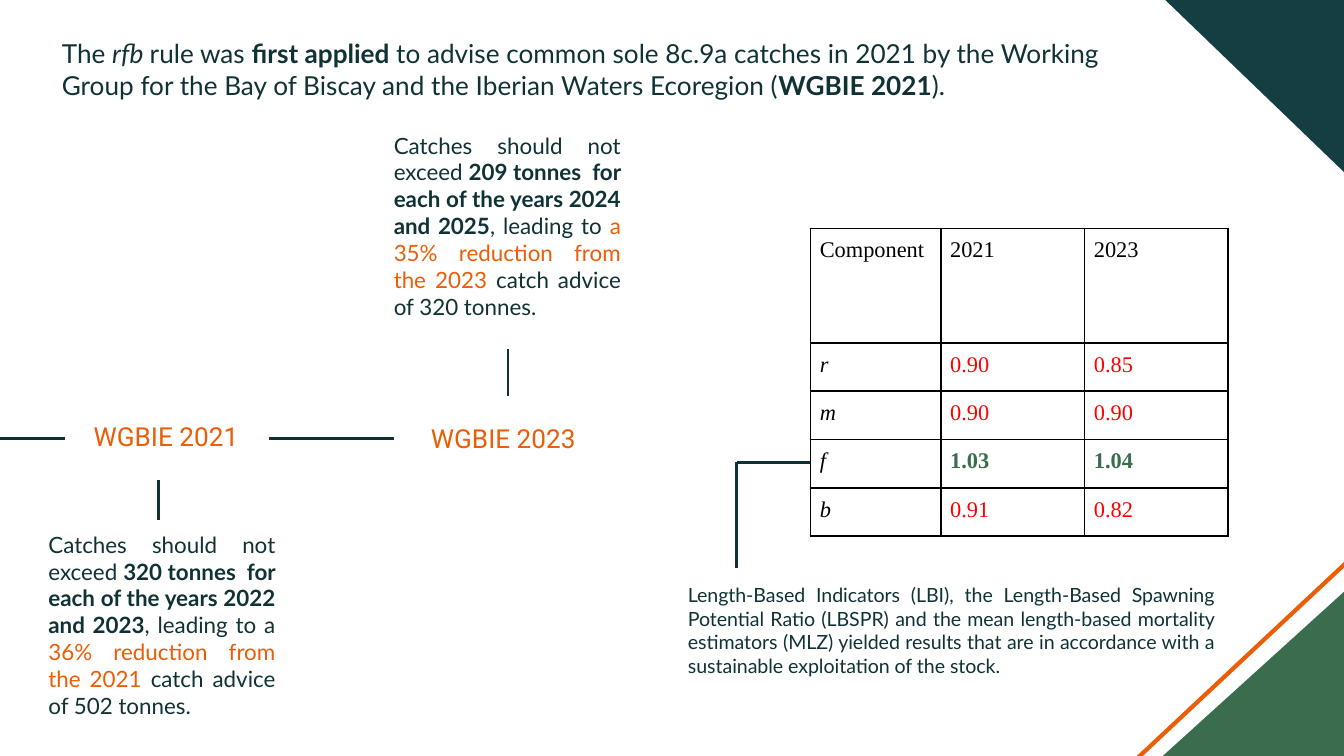
from lxml.etree import SubElement
from pptx import Presentation
from pptx.dml.color import RGBColor
from pptx.enum.shapes import MSO_CONNECTOR as Connector, MSO_SHAPE as Shape
from pptx.enum.text import MSO_ANCHOR as Anchor, MSO_AUTO_SIZE as AutoSize, PP_ALIGN as Align
from pptx.oxml.ns import qn
from pptx.util import Inches, Pt

COLORS = {
    "ink": "103235", "orange": "EB5D06", "teal": "143E42", "green": "396D4D",
    "red": "FF0000", "black": "000000",
}

HEADLINE = [
    ("The ", {}), ("rfb ", {"italic": True}), ("rule was ", {}),
    ("first applied ", {"bold": True}),
    ("to advise common sole 8c.9a catches in 2021 by the Working Group for the "
     "Bay of Biscay and the Iberian Waters Ecoregion (", {}),
    ("WGBIE 2021", {"bold": True}), (").", {}),
]
MILESTONES = [
    ("WGBIE 2021", (0.39, 3.03)),
    ("WGBIE 2023", (2.9, 3.04)),
]
ADVICE = [
    ((0.36, 3.95, 1.69, 1.8), "320 tonnes  for each of the years 2022 and 2023",
     ", leading to a ", "36% reduction from the 2021 ", "catch advice of 502 tonnes."),
    ((2.93, 0.98, 1.69, 1.3), "209 tonnes  for each of the years 2024 and 2025",
     ", leading to ", "a 35% reduction from the 2023 ", "catch advice of 320 tonnes."),
]
COMPONENTS = [
    ("Component", "2021", "2023"),
    ("r", "0.90", "0.85"),
    ("m", "0.90", "0.90"),
    ("f", "1.03", "1.04"),
    ("b", "0.91", "0.82"),
]
COLUMN_WIDTHS = [0.97, 1.07, 1.07]
ROW_HEIGHTS = [0.85] + [0.36] * 4
INDICATORS = (
    "Length-Based Indicators (LBI), the Length-Based Spawning Potential Ratio (LBSPR) "
    "and the mean length-based mortality estimators (MLZ) yielded results that are in "
    "accordance with a sustainable exploitation of the stock."
)
TIMELINE = [
    (1.18, 3.87, 1.18, 3.57),
    (3.78, 2.95, 3.78, 2.6),
    (2.93, 3.26, 2, 3.26),
    (0.48, 3.26, 0, 3.26),
]
TABLE_CALLOUT = [(6.03, 3.44, 5.48, 3.44), (5.48, 4.23, 5.48, 3.44)]


def rgb(name):
    return RGBColor.from_string(COLORS[name])


def style(run, size, font="Lato", color="ink", bold=False, italic=False):
    run.font.size, run.font.name = Pt(size), font
    run.font.color.rgb = rgb(color)
    run.font.bold, run.font.italic = bold, italic


def write(frame, pieces, size, font="Lato", align=Align.LEFT):
    frame.word_wrap = True
    frame.auto_size = AutoSize.NONE
    frame.vertical_anchor = Anchor.TOP
    paragraph = frame.paragraphs[0]
    paragraph.alignment = align
    for text, look in pieces:
        run = paragraph.add_run()
        run.text = text
        style(run, size, font, **look)


def set_margins(holder, inset):
    for side in ("left", "top", "right", "bottom"):
        setattr(holder, f"margin_{side}", Inches(inset))


def add_text(slide, box, pieces, size, inset=None, **layout):
    frame = slide.shapes.add_textbox(*map(Inches, box)).text_frame
    if inset is not None:
        set_margins(frame, inset)
    write(frame, pieces, size, **layout)


def add_line(slide, ends, color="ink", width=1.5):
    line = slide.shapes.add_connector(Connector.STRAIGHT, *map(Inches, ends))
    line.line.color.rgb = rgb(color)
    line.line.width = Pt(width)
    SubElement(line.element.spPr, qn("a:effectLst"))


def paint(shape, color):
    shape.shadow.inherit = False
    shape.fill.solid()
    shape.fill.fore_color.rgb = rgb(color)
    shape.line.fill.background()


def add_corners(slide):
    outline = slide.shapes.build_freeform(Inches(10.02), 0)
    outline.add_line_segments([(Inches(10.02), Inches(1.3)), (Inches(8.67), 0)])
    paint(outline.convert_to_shape(), "teal")
    add_line(slide, (10.11, 4.1, 8.4, 5.7), "orange", 2.25)
    corner = slide.shapes.add_shape(
        Shape.RIGHT_TRIANGLE, *map(Inches, (8.58, 4.34, 1.49, 1.35)))
    corner.element.spPr.xfrm.set("flipH", "1")
    paint(corner, "green")


def add_borders(cell):
    properties = cell._tc.get_or_add_tcPr()
    for position, side in enumerate(("lnL", "lnR", "lnT", "lnB")):
        border = SubElement(properties, qn(f"a:{side}"), w=str(Pt(1)))
        fill = SubElement(border, qn("a:solidFill"))
        SubElement(fill, qn("a:srgbClr"), val=COLORS["black"])
        properties.insert(position, border)


def cell_look(row, column):
    if row == 0:
        return {"color": "black"}
    if column == 0:
        return {"color": "black", "italic": True}
    if float(COMPONENTS[row][column]) > 1:
        return {"color": "green", "bold": True}
    return {"color": "red"}


def add_components(slide):
    table = slide.shapes.add_table(
        len(COMPONENTS), len(COLUMN_WIDTHS), Inches(6.03), Inches(1.7),
        Inches(sum(COLUMN_WIDTHS)), Inches(sum(ROW_HEIGHTS))).table
    table.first_row = table.horz_banding = False
    for column, width in zip(table.columns, COLUMN_WIDTHS):
        column.width = Inches(width)
    for row, height in zip(table.rows, ROW_HEIGHTS):
        row.height = Inches(height)
    for r, values in enumerate(COMPONENTS):
        for c, value in enumerate(values):
            cell = table.cell(r, c)
            cell.text_frame.text = value
            set_margins(cell, 0.07)
            cell.fill.background()
            add_borders(cell)
            style(cell.text_frame.paragraphs[0].runs[0], 12, "Times New Roman",
                  **cell_look(r, c))


def main():
    deck = Presentation()
    deck.slide_width = Inches(10)
    deck.slide_height = deck.slide_width * 9 // 16
    slide = deck.slides.add_slide(deck.slide_layouts[5])

    add_corners(slide)
    headline = slide.shapes.title
    headline.left, headline.top, headline.width, headline.height = map(
        Inches, (0.36, 0.23, 8.46, 0.57))
    write(headline.text_frame, HEADLINE, 14)

    for name, corner in MILESTONES:
        add_text(slide, (*corner, 1.69, 0.64), [(name, {"color": "orange"})], 14,
                 inset=0.1, font="Roboto", align=Align.CENTER)
    for box, limit, link, reduction, ending in ADVICE:
        pieces = [("Catches should not exceed ", {}), (limit, {"bold": True}),
                  (link, {}), (reduction, {"color": "orange"}), (ending, {})]
        add_text(slide, box, pieces, 12, inset=0, align=Align.JUSTIFY)
    add_components(slide)
    add_text(slide, (5.02, 4.29, 4.12, 0.81), [(INDICATORS, {})], 10.5,
             align=Align.JUSTIFY)
    for ends in TIMELINE + TABLE_CALLOUT:
        add_line(slide, ends)

    deck.save("out.pptx")


if __name__ == "__main__":
    main()
